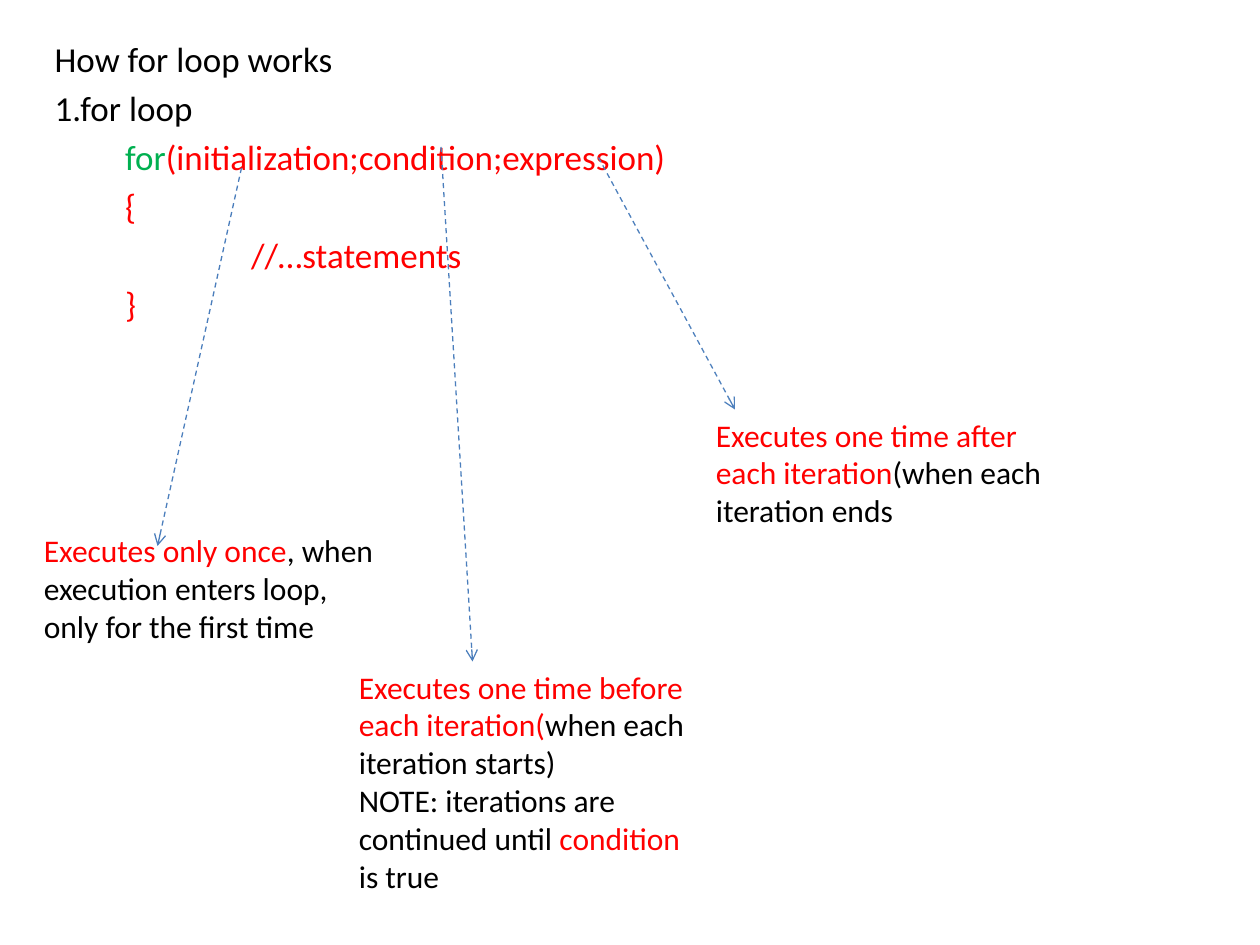
from lxml import etree
from pptx import Presentation, util as u
from pptx.dml.color import RGBColor
from pptx.enum import dml, shapes, text
from pptx.oxml.ns import qn

COLORS = {"black": "000000", "red": "FF0000", "green": "00B050", "arrow": "4B7EBC", "last_arrow": "4F81BD"}
FONT = "Calibri"
COLUMNS, ROWS = 120, 90
WIDTH, HEIGHT = u.Inches(10), u.Inches(7.5)
CELL_X, CELL_Y = WIDTH // COLUMNS, HEIGHT // ROWS
INDENT, TAB = 0.56, 1

CODE = [
    (0, [("How for loop works", "black")]),
    (0, [("1.for loop", "black")]),
    (INDENT, [("for", "green"), ("(initialization;condition;expression)", "red")]),
    (INDENT, [("{", "red")]),
    (INDENT + TAB, [("//…statements", "red")]),
    (INDENT, [("}", "red")]),
]

NOTES = [
    ((3, 50, 35, 12), (23, 16, 15, 52), "arrow", [
        [("Executes only once", "red"),
         (", when execution enters loop, only for the first time", "black")],
    ]),
    ((33, 63, 35, 23), (42, 14, 45, 63), "arrow", [
        [("Executes one time before each iteration(", "red"),
         ("when each iteration starts)", "black")],
        [("NOTE: iterations are continued until ", "black"),
         ("condition", "red"), (" is true", "black")],
    ]),
    ((67, 39, 35, 12), (57, 15, 70, 39), "last_arrow", [
        [("Executes one time after each iteration", "red"),
         ("(when each iteration ends", "black")],
    ]),
]


def grid(column, row, *rest):
    values = (column, row) + rest
    return [value * (CELL_Y if index % 2 else CELL_X) for index, value in enumerate(values)]


def fill_paragraphs(frame, lines, size):
    for index, spans in enumerate(lines):
        para = frame.add_paragraph() if index else frame.paragraphs[0]
        para.alignment = text.PP_ALIGN.LEFT
        for words, color in spans:
            span = para.add_run()
            span.text = words
            span.font.name = FONT
            span.font.size = u.Pt(size)
            span.font.color.rgb = RGBColor.from_string(COLORS[color])


def add_code(page):
    page.shapes.title.element.getparent().remove(page.shapes.title.element)
    box = page.placeholders[1]
    box.left, box.top, box.width, box.height = grid(4, 3, 104, 28)
    frame = box.text_frame
    frame.vertical_anchor = text.MSO_ANCHOR.TOP
    fill_paragraphs(frame, [spans for _, spans in CODE], 20)
    for para, (margin, _) in zip(frame.paragraphs, CODE):
        properties = para._p.get_or_add_pPr()
        properties.set("marL", str(u.Inches(margin)))
        properties.set("indent", "0")


def add_arrow(page, ends, color):
    arrow = page.shapes.add_connector(shapes.MSO_CONNECTOR.STRAIGHT, *grid(*ends))
    arrow.line.color.rgb = RGBColor.from_string(COLORS[color])
    arrow.line.width = u.Pt(0.75)
    arrow.line.dash_style = dml.MSO_LINE.DASH
    etree.SubElement(arrow.line._get_or_add_ln(), qn("a:tailEnd"), type="arrow")
    etree.SubElement(arrow.element.spPr, qn("a:effectLst"))


def add_note(page, place, lines):
    frame = page.shapes.add_textbox(*grid(*place)).text_frame
    frame.word_wrap = True
    frame.auto_size = text.MSO_AUTO_SIZE.SHAPE_TO_FIT_TEXT
    fill_paragraphs(frame, lines, 18)


def main():
    deck = Presentation()
    deck.slide_width, deck.slide_height = WIDTH, HEIGHT
    page = deck.slides.add_slide(deck.slide_layouts[0])
    add_code(page)
    for place, ends, color, lines in NOTES:
        add_arrow(page, ends, color)
        add_note(page, place, lines)
    deck.save("out.pptx")


main()
